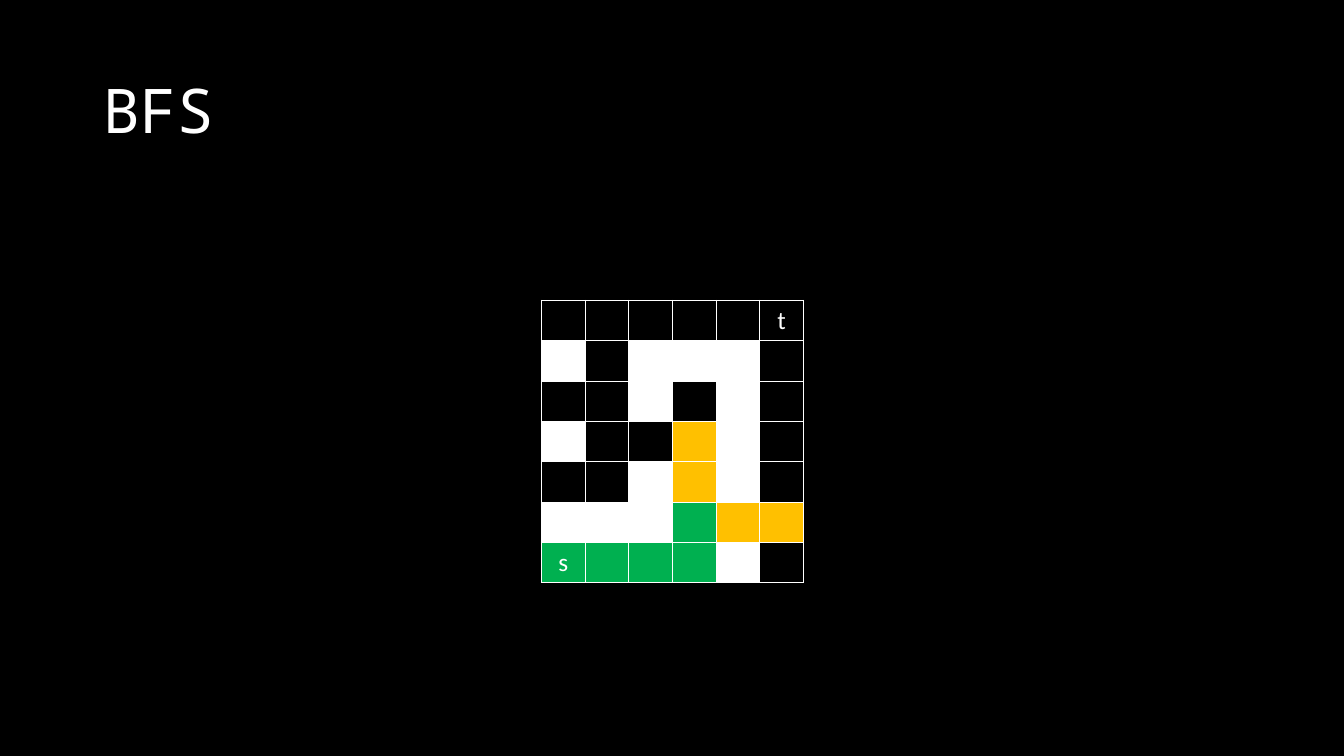
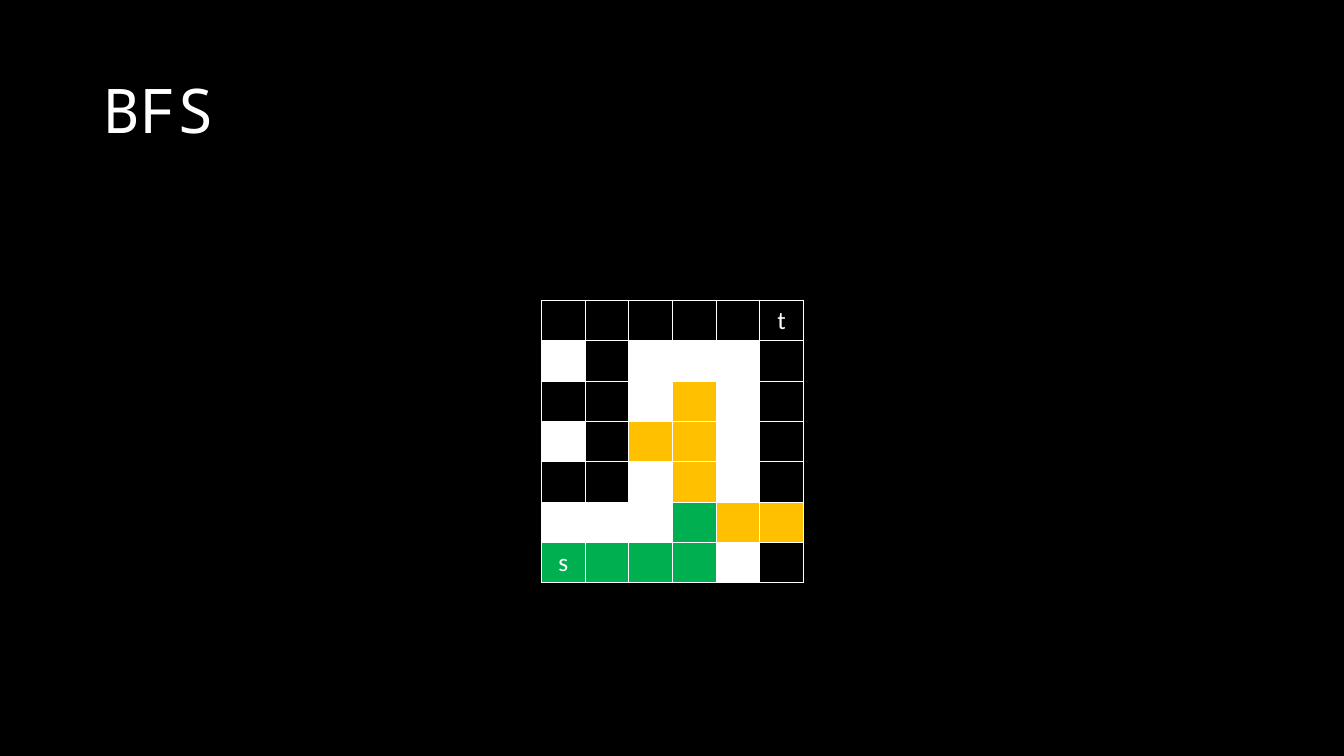
from lxml.etree import SubElement
from pptx import Presentation
from pptx.dml.color import RGBColor
from pptx.enum.text import MSO_ANCHOR, PP_ALIGN
from pptx.oxml.ns import qn
from pptx.util import Inches, Pt

COLORS = {"background": "000000", "text": "FFFFFF", "line": "FFFFFF",
          "#": "FFFFFF", "o": "FFC000", "g": "00B050"}
TITLE_BOX = (0.92, 0.4, 11.5, 1.45)
GRID_BOX = (5.37, 2.98, 2.6, 2.8)
LABELS = {(0, 5): "t", (6, 0): "s"}
MAZE = ["......",
        "#.###.",
        "..#.#.",
        "#...#.",
        "..#.#.",
        "####..",
        "....#."]
PATH = [(6, 0), (6, 1), (6, 2), (6, 3), (5, 3)]
FRONTIER = [(3, 3), (4, 3), (5, 4), (5, 5)]
STEPS = [FRONTIER, FRONTIER + [(2, 3), (3, 2)]]


def rgb(name):
    """Return the named colour."""
    return RGBColor.from_string(COLORS[name])


def style_text(p, size, font):
    """Set the font of a paragraph in the shared text colour."""
    p.font.size = Pt(size)
    p.font.name = font
    p.font.color.rgb = rgb("text")


def add_title(s, text, box):
    """Add the slide title in the given box."""
    tf = s.shapes.add_textbox(*map(Inches, box)).text_frame
    tf.word_wrap = True
    tf.vertical_anchor = MSO_ANCHOR.MIDDLE
    p = tf.paragraphs[0]
    p.text = text
    p.line_spacing = 0.9
    style_text(p, 44, "Noto Sans Mono")


def add_borders(cell):
    """Draw a thin line on all four sides of a cell."""
    tc_pr = cell._tc.get_or_add_tcPr()
    for side in ("lnL", "lnR", "lnT", "lnB"):
        line = SubElement(tc_pr, qn(f"a:{side}"), w=str(Pt(1)))
        fill = SubElement(line, qn("a:solidFill"))
        SubElement(fill, qn("a:srgbClr"), val=COLORS["line"])


def cell_kind(row, col, frontier):
    """Return the state of a maze cell at one step of the search."""
    if (row, col) in PATH:
        return "g"
    return "o" if (row, col) in frontier else MAZE[row][col]


def add_maze(s, frontier, box):
    """Add the maze table with the visited path and the frontier."""
    left, top, width, height = box
    rows, cols = len(MAZE), len(MAZE[0])
    table = s.shapes.add_table(rows, cols, *map(Inches, box)).table
    table.first_row = table.horz_banding = False
    for column in table.columns:
        column.width = Inches(width / cols)
    for table_row in table.rows:
        table_row.height = Inches(height / rows)
    for row in range(rows):
        for col in range(cols):
            cell = table.cell(row, col)
            add_borders(cell)
            kind = cell_kind(row, col, frontier)
            if kind == ".":
                cell.fill.background()
            else:
                cell.fill.solid()
                cell.fill.fore_color.rgb = rgb(kind)
            if (row, col) in LABELS:
                p = cell.text_frame.paragraphs[0]
                p.text = LABELS[row, col]
                p.alignment = PP_ALIGN.CENTER
                style_text(p, 18, "Calibri")


def add_step(prs, frontier):
    """Add one slide that shows a step of the search."""
    s = prs.slides.add_slide(prs.slide_layouts[6])
    s.background.fill.solid()
    s.background.fill.fore_color.rgb = rgb("background")
    add_title(s, "BFS", TITLE_BOX)
    add_maze(s, frontier, GRID_BOX)


def main():
    """Build and save the presentation."""
    prs = Presentation()
    prs.slide_width, prs.slide_height = Inches(13.33), Inches(7.5)
    for frontier in STEPS:
        add_step(prs, frontier)
    prs.save("out.pptx")


main()
